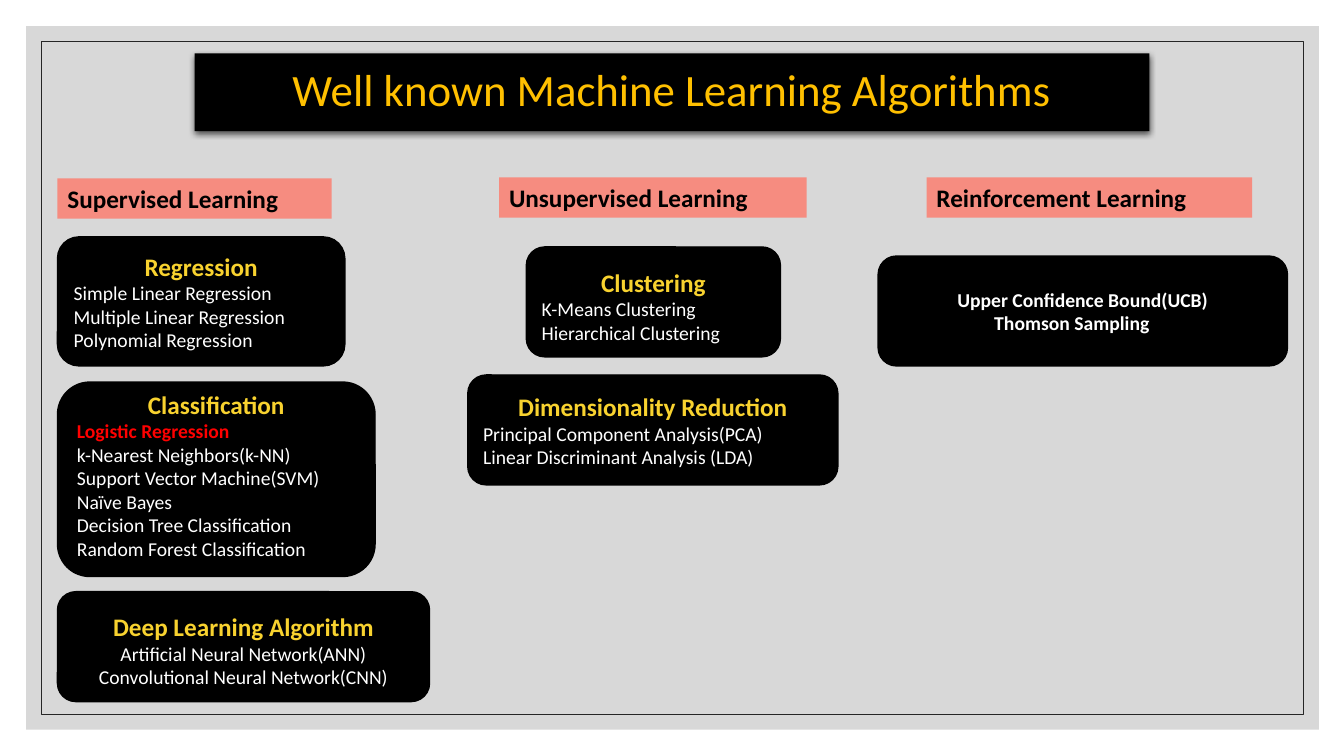
import dataclasses
import typing

import lxml.etree
import pptx
import pptx.dml.color
import pptx.enum.shapes
import pptx.enum.text
import pptx.oxml.ns
import pptx.util

Inches = pptx.util.Inches
Align = pptx.enum.text.PP_ALIGN
Anchor = pptx.enum.text.MSO_ANCHOR
ShapeType = pptx.enum.shapes.MSO_SHAPE

FONT = "Calibri"
COLOURS = {
    "panel": "BFBFBF",
    "frame": "262626",
    "black": "000000",
    "title": "FFC000",
    "heading": "F8D22F",
    "item": "FFFFFF",
    "highlight": "FF0000",
    "label": "F68C80",
}
LABEL_HEIGHT = 0.4


class Box(typing.NamedTuple):
    left: float
    top: float
    width: float
    height: float


class Item(typing.NamedTuple):
    text: str
    colour: str = "item"
    bold: bool = False
    align: Align = Align.LEFT
    indent: float = 0


@dataclasses.dataclass
class Label:
    text: str
    left: float
    top: float
    width: float


@dataclasses.dataclass
class Card:
    box: Box
    heading: str
    items: list[Item]
    extra_top: float = 0
    extra_bottom: float = 0


LABELS = [
    Label("Supervised Learning", 0.57, 1.77, 2.72),
    Label("Unsupervised Learning", 4.95, 1.76, 3.05),
    Label("Reinforcement Learning", 9.19, 1.76, 3.23),
]

CARDS = [
    Card(Box(0.57, 2.35, 2.85, 1.28), "Regression", [
        Item("Simple Linear Regression"),
        Item("Multiple Linear Regression"),
        Item("Polynomial Regression"),
    ]),
    Card(Box(0.57, 3.79, 3.15, 1.93), "Classification", [
        Item("Logistic Regression", colour="highlight", bold=True),
        Item("k-Nearest Neighbors(k-NN)"),
        Item("Support Vector Machine(SVM)"),
        Item("Naïve Bayes"),
        Item("Decision Tree Classification"),
        Item("Random Forest Classification"),
    ], extra_bottom=0.09),
    Card(Box(0.57, 5.87, 3.69, 1.09), "Deep Learning Algorithm", [
        Item("Artificial Neural Network(ANN)", align=Align.CENTER),
        Item("Convolutional Neural Network(CNN)", align=Align.CENTER),
    ], extra_top=0.07),
    Card(Box(5.22, 2.45, 2.52, 1.09), "Clustering", [
        Item("K-Means Clustering"),
        Item("Hierarchical Clustering"),
    ], extra_top=0.07),
    Card(Box(4.64, 3.72, 3.67, 1.09), "Dimensionality Reduction", [
        Item("Principal Component Analysis(PCA)"),
        Item("Linear Discriminant Analysis (LDA)"),
    ]),
    Card(Box(8.71, 2.54, 4.06, 1.09), "", [
        Item("Upper Confidence Bound(UCB)", bold=True, align=Align.CENTER),
        Item("Thomson Sampling", bold=True, indent=1),
    ]),
]


def rgb(name: str) -> pptx.dml.color.RGBColor:
    return pptx.dml.color.RGBColor.from_string(COLOURS[name])


def write_text(frame, text: str, *, size: float, colour: str, bold: bool = False,
               align: Align = Align.LEFT, indent: float = 0):
    """Fill the frame's empty first paragraph, or append another one."""
    paragraph = frame.paragraphs[-1]
    if paragraph.runs:
        paragraph = frame.add_paragraph()
    paragraph.alignment = align
    if indent:
        paragraph_properties = paragraph.runs and None or paragraph._p.get_or_add_pPr()
        paragraph_properties.set("marL", str(Inches(indent)))
    run = paragraph.add_run()
    run.text = text
    run.font.name = FONT
    run.font.size = pptx.util.Pt(size)
    run.font.bold = bold
    run.font.color.rgb = rgb(colour)
    return paragraph


def add_box(slide, kind: ShapeType, box: Box, fill: str | None = None,
            line: str | None = None, line_width: float = 1):
    shape = slide.shapes.add_shape(kind, *map(Inches, box))
    shape.shadow.inherit = False
    if fill:
        shape.fill.solid()
        shape.fill.fore_color.rgb = rgb(fill)
    else:
        shape.fill.background()
    if line:
        shape.line.color.rgb = rgb(line)
        shape.line.width = pptx.util.Pt(line_width)
    else:
        shape.line.fill.background()
    shape.text_frame.word_wrap = True
    return shape


def set_alpha(parent, percent: int) -> None:
    """Make the RGB colour inside the given XML element translucent."""
    colour = next(parent.iter(pptx.oxml.ns.qn("a:srgbClr")))
    alpha = lxml.etree.SubElement(colour, pptx.oxml.ns.qn("a:alpha"))
    alpha.set("val", str(percent * 1000))


def add_backdrop(slide) -> None:
    panel = add_box(slide, ShapeType.RECTANGLE, Box(0.26, 0.26, 12.82, 6.98), "panel")
    set_alpha(panel.element.spPr.find(pptx.oxml.ns.qn("a:solidFill")), 60)
    add_box(slide, ShapeType.RECTANGLE, Box(0.41, 0.41, 12.52, 6.68),
            line="frame", line_width=0.5)


def add_title(slide, text: str) -> None:
    title = slide.shapes.title
    title.left, title.top, title.width, title.height = map(Inches, (1.93, 0.53, 9.47, 0.77))
    title.fill.solid()
    title.fill.fore_color.rgb = rgb("black")
    frame = title.text_frame
    frame.auto_size = pptx.enum.text.MSO_AUTO_SIZE.NONE
    frame.vertical_anchor = Anchor.MIDDLE
    paragraph = write_text(frame, text, size=32, colour="title", align=Align.CENTER)
    paragraph.line_spacing = 0.9

    title.shadow.inherit = False
    effects = title.element.spPr.find(pptx.oxml.ns.qn("a:effectLst"))
    shadow = lxml.etree.SubElement(
        effects, pptx.oxml.ns.qn("a:outerShdw"), blurRad=str(pptx.util.Pt(4.5)),
        dist=str(pptx.util.Pt(1.5)), dir="5400000", rotWithShape="0")
    lxml.etree.SubElement(shadow, pptx.oxml.ns.qn("a:srgbClr"), val=COLOURS["black"])
    set_alpha(shadow, 63)
    # Bring the title in front of the backdrop
    title.element.getparent().append(title.element)


def add_label(slide, label: Label) -> None:
    box = Box(label.left, label.top, label.width, LABEL_HEIGHT)
    shape = add_box(slide, ShapeType.RECTANGLE, box, "label")
    shape.text_frame.vertical_anchor = Anchor.TOP
    write_text(shape.text_frame, label.text, size=18, colour="black", bold=True)


def add_card(slide, card: Card) -> None:
    shape = add_box(slide, ShapeType.ROUNDED_RECTANGLE, card.box, "black", "black")
    frame = shape.text_frame
    frame.vertical_anchor = Anchor.MIDDLE
    frame.margin_top = Inches(0.05 + card.extra_top)
    frame.margin_bottom = Inches(0.05 + card.extra_bottom)
    if card.heading:
        write_text(frame, card.heading, size=18, colour="heading", bold=True,
                   align=Align.CENTER)
    for item in card.items:
        write_text(frame, item.text, size=14, colour=item.colour, bold=item.bold,
                   align=item.align, indent=item.indent)


def main() -> None:
    presentation = pptx.Presentation()
    presentation.slide_width = Inches(13.33)
    presentation.slide_height = Inches(7.5)
    title_only = presentation.slide_layouts.get_by_name("Title Only")
    slide = presentation.slides.add_slide(title_only)
    add_backdrop(slide)
    add_title(slide, "Well known Machine Learning Algorithms")
    for label in LABELS:
        add_label(slide, label)
    for card in CARDS:
        add_card(slide, card)
    presentation.save("out.pptx")


if __name__ == "__main__":
    main()
